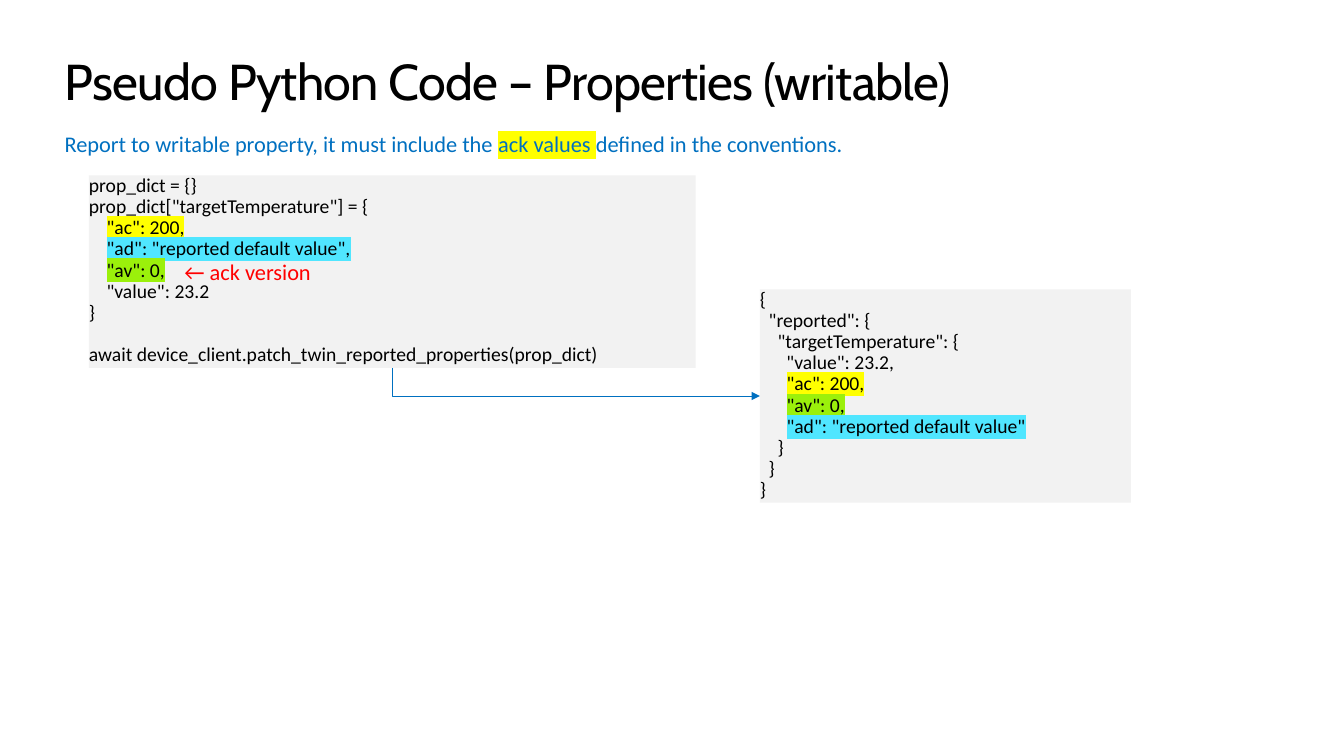
"""Build a slide on reporting writable properties in pseudo Python code."""
from lxml.etree import SubElement
from pptx import Presentation
from pptx.dml.color import RGBColor
from pptx.enum.shapes import MSO_CONNECTOR as Connector, MSO_SHAPE as Shape
from pptx.enum.text import MSO_ANCHOR as Anchor, PP_ALIGN as Align
from pptx.oxml.ns import qn
from pptx.util import Cm, Pt

BLACK, BLUE, RED, GREY = "000000", "0070C0", "FF0000", "F2F2F2"
YELLOW, CYAN, GREEN = "FFFF00", "50E6FF", "9BF00B"

TITLE = ["Pseudo Python Code – Properties (writable)"]
SUBTITLE = [[
    ("Report to writable property, it must include the ", None),
    ("ack values ", YELLOW),
    ("defined in the conventions.", None),
]]
ACK_NOTE = ["← ack version"]
PYTHON_CODE = [
    "prop_dict = {}",
    'prop_dict["targetTemperature"] = {',
    [("    ", None), ('"ac": 200,', YELLOW)],
    [("    ", None), ('"ad": "reported default value",', CYAN)],
    [("    ", None), ('"av": 0,', GREEN)],
    '    "value": 23.2',
    "}",
    "",
    "await device_client.patch_twin_reported_properties(prop_dict)",
]
REPORTED_JSON = [
    "{",
    '  "reported": {',
    '    "targetTemperature": {',
    '      "value": 23.2,',
    [("      ", None), ('"ac": 200,', YELLOW)],
    [("      ", None), ('"av": 0,', GREEN)],
    [("      ", None), ('"ad": "reported default value"', CYAN)],
    "    }",
    "  }",
    "}",
]


def color(value):
    return RGBColor.from_string(value)


def write(box, lines, size, ink=BLACK, font="Calibri", line_spacing=None, tracking=None):
    frame = box.text_frame
    frame.word_wrap = True
    frame.vertical_anchor = Anchor.TOP
    frame.margin_left = frame.margin_top = frame.margin_right = frame.margin_bottom = 0
    for number, line in enumerate(lines):
        para = frame.add_paragraph() if number else frame.paragraphs[0]
        para.alignment = Align.LEFT
        if line_spacing:
            para.line_spacing = line_spacing
        if not line:
            SubElement(para._p, qn("a:endParaRPr"), sz=str(size * 100))
            continue
        for text, highlight in [(line, None)] if isinstance(line, str) else line:
            span = para.add_run()
            span.text = text
            span.font.size = Pt(size)
            span.font.color.rgb = color(ink)
            span.font.name = font
            properties = span._r.get_or_add_rPr()
            if tracking:
                properties.set("spc", str(round(tracking * 100)))
            if highlight:
                marker = SubElement(properties, qn("a:highlight"))
                SubElement(marker, qn("a:srgbClr"), val=highlight)
                properties.find(qn("a:solidFill")).addnext(marker)


def add_text(page, place, lines, size, **style):
    write(page.shapes.add_textbox(*map(Cm, place)), lines, size, **style)


def add_code(page, place, lines):
    box = page.shapes.add_shape(Shape.RECTANGLE, *map(Cm, place))
    box.shadow.inherit = False
    box.fill.solid()
    box.fill.fore_color.rgb = color(GREY)
    box.line.fill.background()
    write(box, lines, 14, line_spacing=0.9)
    return box


def add_corner_arrow(page, source, target):
    arrow = page.shapes.add_connector(Connector.ELBOW, 0, 0, 0, 0)
    arrow.begin_connect(source, 2)
    arrow.end_connect(target, 1)
    start_x, start_y = arrow.begin_x, arrow.begin_y
    across, down = arrow.end_x - start_x, arrow.end_y - start_y
    arrow.left = start_x + (across - down) // 2
    arrow.top = start_y + (down - across) // 2
    arrow.width, arrow.height = down, across
    arrow.line.color.rgb = color(BLUE)
    arrow.line.width = Pt(0.75)
    properties = arrow._element.spPr
    turn = properties.find(qn("a:xfrm"))
    turn.set("rot", "16200000")
    turn.set("flipH", "1")
    properties.find(qn("a:prstGeom")).set("prst", "bentConnector2")
    SubElement(properties.find(qn("a:ln")), qn("a:tailEnd"), type="triangle")
    SubElement(properties, qn("a:effectLst"))


def main():
    deck = Presentation()
    deck.slide_width, deck.slide_height = Cm(33.87), Cm(19.05)
    page = deck.slides.add_slide(deck.slide_layouts[6])
    add_text(page, (1.63, 1.27, 30.61, 1.55), TITLE, 36, font="Cabin", tracking=-0.5)
    python_box = add_code(page, (2.24, 4.42, 15.29, 4.85), PYTHON_CODE)
    add_text(page, (1.63, 3.28, 19.84, 0.69), SUBTITLE, 16, ink=BLUE)
    json_box = add_code(page, (19.15, 7.29, 9.35, 5.38), REPORTED_JSON)
    add_corner_arrow(page, python_box, json_box)
    add_text(page, (4.65, 6.5, 3.51, 0.69), ACK_NOTE, 16, ink=RED)
    deck.save("out.pptx")


if __name__ == "__main__":
    main()
